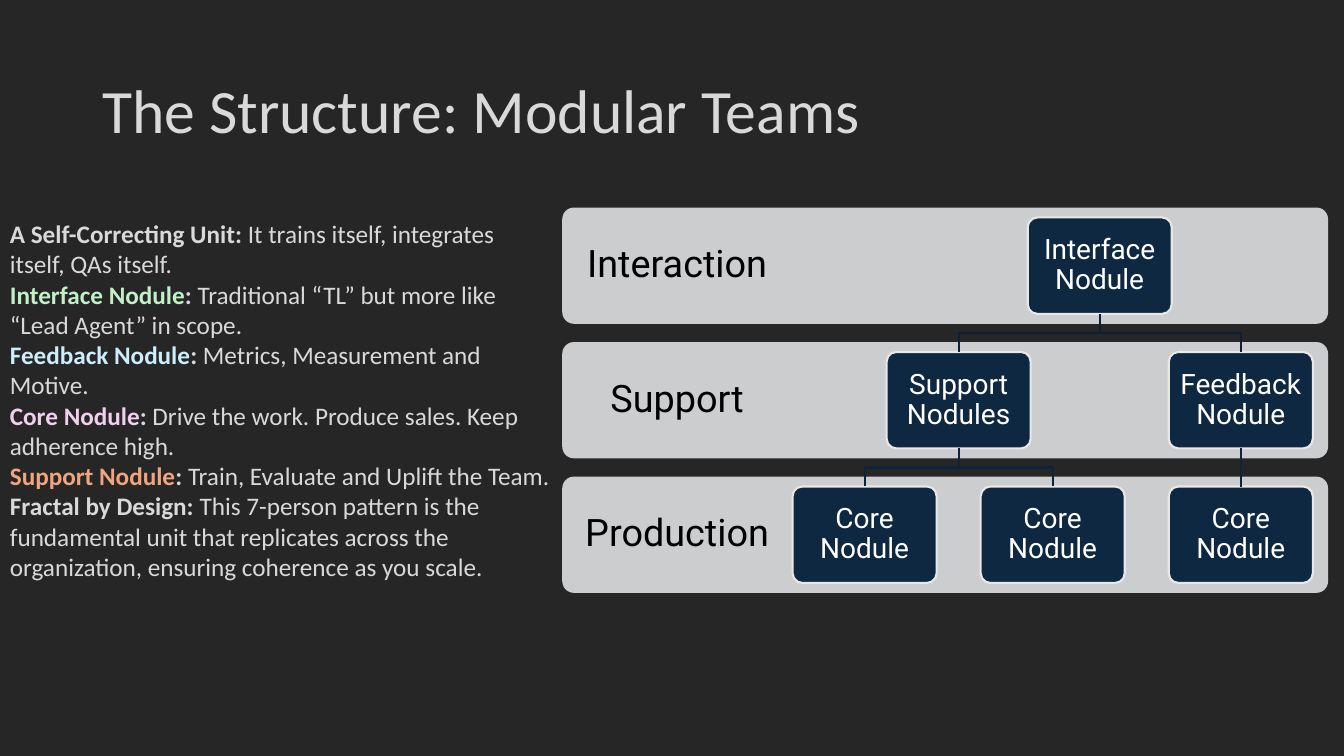
from pptx import Presentation
from pptx.dml.color import RGBColor
from pptx.enum.shapes import MSO_CONNECTOR as Link, MSO_SHAPE as Shape
from pptx.enum.text import MSO_ANCHOR as Anchor, MSO_AUTO_SIZE as Fit, PP_ALIGN as Align
from pptx.oxml.ns import qn
from pptx.util import Cm, Pt
from lxml.etree import SubElement

TITLE = "The Structure: Modular Teams"
POINTS = [
    [("A Self-Correcting Unit:", "text", True),
     (" It trains itself, integrates itself, QAs itself.", "text", False)],
    [("Interface Nodule", "green", True), (":", "text", True),
     (" Traditional “TL” but more like “Lead Agent” in scope.", "text", False)],
    [("Feedback Nodule", "blue", True), (":", "text", True),
     (" Metrics, Measurement and Motive.", "text", False)],
    [("Core Nodule", "pink", True), (":", "text", True),
     (" Drive the work. Produce sales. Keep adherence high.", "text", False)],
    [("Support Nodule", "orange", True), (": ", "text", True),
     ("Train, Evaluate and Uplift the Team.", "text", False)],
    [("Fractal by Design:", "text", True),
     (" This 7-person pattern is the fundamental unit that replicates across the "
      "organization, ensuring coherence as you scale.", "text", False)],
]
LEVELS = ["Interaction", "Support", "Production"]
NODES = {
    "interface": ("Interface Nodule", 0, 2.5),
    "support": ("Support Nodules", 1, 1),
    "feedback": ("Feedback Nodule", 1, 4),
    "core left": ("Core Nodule", 2, 0),
    "core middle": ("Core Nodule", 2, 2),
    "core right": ("Core Nodule", 2, 4),
}
LINKS = [
    ("interface", "support", "link_top"),
    ("interface", "feedback", "link_top"),
    ("support", "core left", "link_low"),
    ("support", "core middle", "link_low"),
    ("feedback", "core right", "link_low"),
]


class Theme:
    colors = {
        "page": "262626", "text": "D9D9D9", "green": "C2F1C8", "blue": "CAEEFB",
        "pink": "F2CFEE", "orange": "F1A57F", "band": "CCCDCF", "black": "000000",
        "node": "0E2841", "edge": "E8E8E8", "white": "FFFFFF",
        "link_top": "0B2034", "link_low": "0D243B",
    }
    title = {"name": "Calibri", "size": Pt(44)}
    body = {"name": "Calibri", "size": Pt(18)}
    level = {"name": "Roboto", "size": Pt(27)}
    node = {"name": "Roboto", "size": Pt(20)}
    line = Pt(1.5)


BAND_LEFT, BAND_TOP, BAND_WIDTH, BAND_HEIGHT, BAND_STEP = 14.17, 5.23, 19.3, 2.93, 3.39
LABEL_WIDTH, LABEL_INSET = 5.79, 0.4
NODE_WIDTH, NODE_HEIGHT, FIRST_CENTER, HALF_STEP = 3.63, 2.43, 21.79, 2.37
NODE_INSET = 0.15


def color(name):
    return RGBColor.from_string(Theme.colors[name])


def apply(target, values):
    for name, value in values.items():
        setattr(target, name, value)


def style(font, values, color_name, bold=False):
    apply(font, {**values, "bold": bold})
    font.color.rgb = color(color_name)


def set_line(shape, color_name):
    shape.line.color.rgb = color(color_name)
    shape.line.width = Theme.line


def add_rounded(page, place, fill, text, font, font_color, insets):
    box = page.shapes.add_shape(Shape.ROUNDED_RECTANGLE, *map(Cm, place))
    box.adjustments[0] = 0.1
    box.shadow.inherit = False
    box.fill.solid()
    box.fill.fore_color.rgb = color(fill)
    box.line.fill.background()
    left, right = insets
    apply(box.text_frame, {
        "text": text, "word_wrap": True, "vertical_anchor": Anchor.MIDDLE,
        "margin_left": Cm(left), "margin_right": Cm(right),
        "margin_top": Cm(NODE_INSET), "margin_bottom": Cm(NODE_INSET),
    })
    para = box.text_frame.paragraphs[0]
    apply(para, {"alignment": Align.CENTER, "line_spacing": 0.9})
    style(para.runs[0].font, font, font_color)
    return box


def add_title(page):
    title = page.shapes.title
    apply(title, {"left": Cm(2.33), "top": Cm(1.01), "width": Cm(29.21), "height": Cm(3.68)})
    apply(title.text_frame, {"text": TITLE, "vertical_anchor": Anchor.MIDDLE,
                             "word_wrap": True, "auto_size": Fit.NONE})
    para = title.text_frame.paragraphs[0]
    apply(para, {"alignment": Align.LEFT, "line_spacing": 0.9})
    style(para.runs[0].font, Theme.title, "text")


def add_points(page):
    box = page.shapes.add_textbox(Cm(0), Cm(5.33), Cm(14.17), Cm(9.5))
    frame = box.text_frame
    apply(frame, {"word_wrap": True, "vertical_anchor": Anchor.MIDDLE})
    for index, point in enumerate(POINTS):
        para = frame.add_paragraph() if index else frame.paragraphs[0]
        for text, color_name, bold in point:
            span = para.add_run()
            span.text = text
            style(span.font, Theme.body, color_name, bold)


def add_link(page, parent, child, color_name):
    start_x, end_x = (node.left + node.width // 2 for node in (parent, child))
    start_y, end_y = parent.top + parent.height, child.top
    if start_x == end_x:
        link = page.shapes.add_connector(Link.STRAIGHT, start_x, start_y, end_x, end_y)
        link.begin_connect(parent, 2)
        link.end_connect(child, 0)
        SubElement(link._element.spPr, qn("a:effectLst"))
    else:
        middle = (start_y + end_y) // 2
        builder = page.shapes.build_freeform(start_x, start_y)
        builder.add_line_segments([(start_x, middle), (end_x, middle), (end_x, end_y)],
                                  close=False)
        link = builder.convert_to_shape()
        link.fill.background()
        link.shadow.inherit = False
    set_line(link, color_name)


def add_diagram(page):
    for row, label in enumerate(LEVELS):
        place = (BAND_LEFT, BAND_TOP + row * BAND_STEP, BAND_WIDTH, BAND_HEIGHT)
        insets = (LABEL_INSET, BAND_WIDTH - LABEL_WIDTH + LABEL_INSET)
        add_rounded(page, place, "band", label, Theme.level, "black", insets)
    nodes = {}
    for key, (text, row, column) in NODES.items():
        left = FIRST_CENTER + column * HALF_STEP - NODE_WIDTH / 2
        top = BAND_TOP + row * BAND_STEP + (BAND_HEIGHT - NODE_HEIGHT) / 2
        nodes[key] = add_rounded(page, (left, top, NODE_WIDTH, NODE_HEIGHT), "node", text,
                                 Theme.node, "white", (NODE_INSET, NODE_INSET))
        set_line(nodes[key], "edge")
    for parent, child, color_name in LINKS:
        add_link(page, nodes[parent], nodes[child], color_name)


def main():
    deck = Presentation()
    apply(deck, {"slide_width": Cm(33.87), "slide_height": Cm(19.05)})
    page = deck.slides.add_slide(deck.slide_layouts.get_by_name("Title Only"))
    page.background.fill.solid()
    page.background.fill.fore_color.rgb = color("page")
    add_title(page)
    add_points(page)
    add_diagram(page)
    deck.save("out.pptx")


if __name__ == "__main__":
    main()
